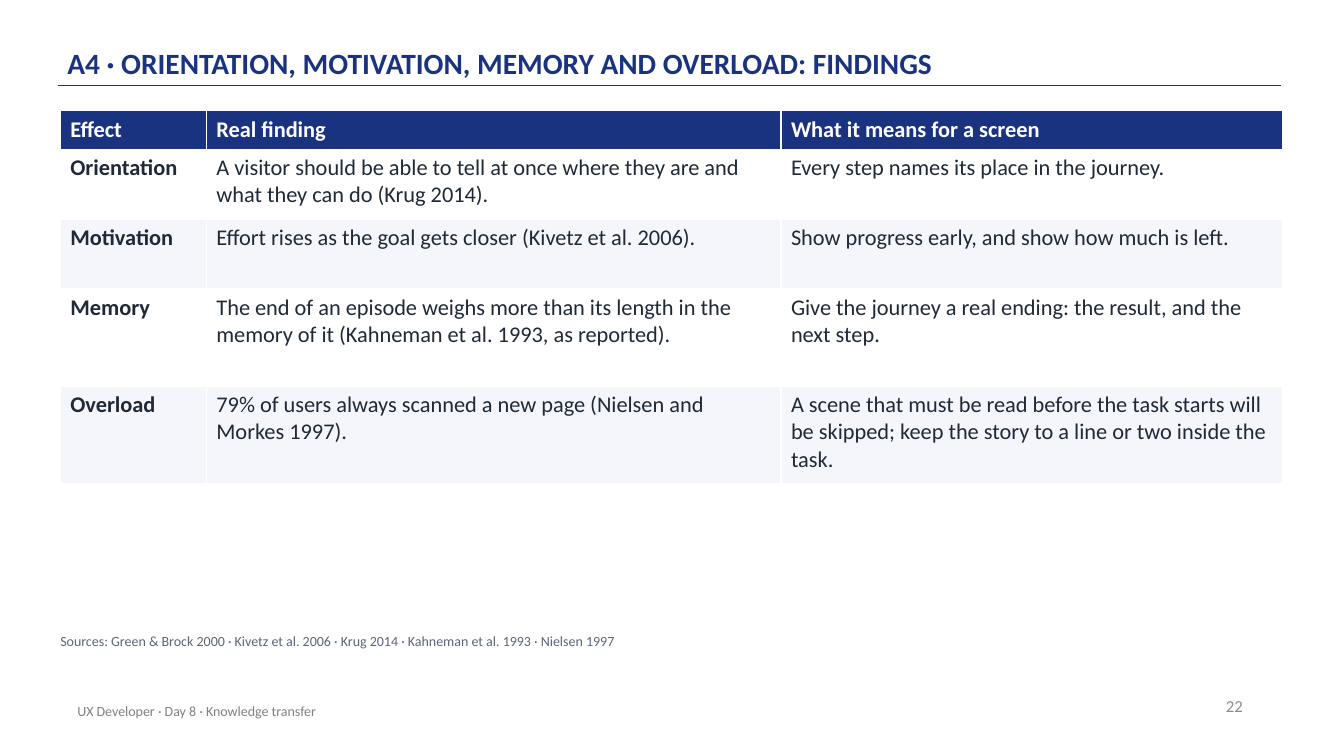
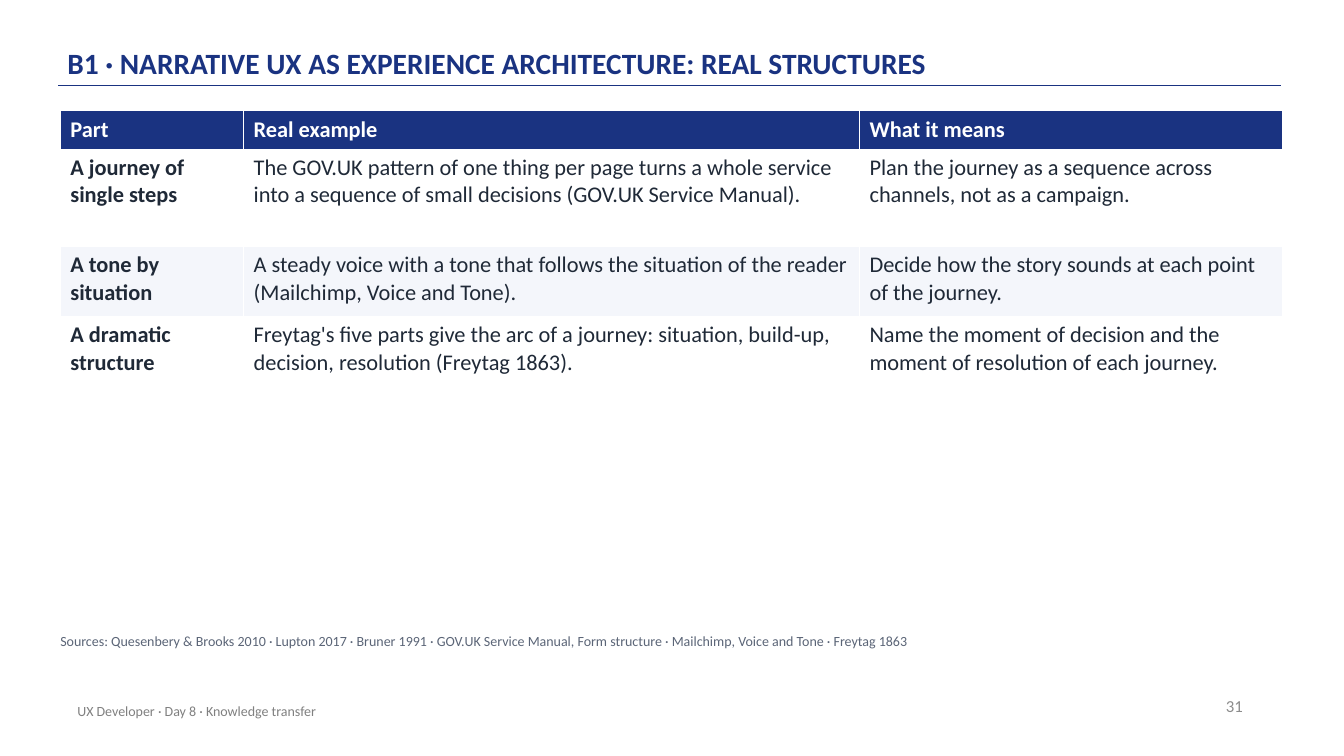
from lxml.etree import SubElement
from pptx import Presentation
from pptx.dml.color import RGBColor
from pptx.enum.shapes import MSO_CONNECTOR
from pptx.enum.text import MSO_ANCHOR, PP_ALIGN
from pptx.oxml.ns import qn
from pptx.util import Cm, Pt

COLORS = {
    "navy": "1A3381",
    "white": "FFFFFF",
    "band": "F4F6FB",
    "ink": "1F2937",
    "source": "5B6577",
    "footer": "808080",
    "number": "8C8C8C",
}
HEAD, TWO, THREE = 0.97, 1.76, 2.45


class Deck:
    """Holds the shared style and the current slide."""

    face = "Calibri"
    left = 1.52
    footer = "UX Developer · Day 8 · Knowledge transfer"

    def __init__(self):
        """Start an empty wide deck."""
        self.file = Presentation()
        self.file.slide_width = Cm(33.87)
        self.file.slide_height = Cm(19.05)

    def color(self, name):
        """Look up a colour by name."""
        return RGBColor.from_string(COLORS[name])

    def style(self, para, size, color, bold=False):
        """Set the font of a paragraph."""
        font = para.font
        font.name = self.face
        font.size = Pt(size)
        font.bold = bold
        font.color.rgb = self.color(color)

    def text(self, words, box, size, color, bold=False, anchor=MSO_ANCHOR.MIDDLE, inset=None):
        """Add a text box and return its paragraph."""
        frame = self.slide.shapes.add_textbox(*map(Cm, box)).text_frame
        frame.word_wrap = True
        frame.vertical_anchor = anchor
        if inset is not None:
            frame.margin_left = frame.margin_right = 0
            frame.margin_top = frame.margin_bottom = Cm(inset)
        para = frame.paragraphs[0]
        para.text = words
        self.style(para, size, color, bold)
        return para

    def rule(self):
        """Draw the line under the title."""
        ends = map(Cm, (32.28, 2.16, 1.47, 2.16))
        line = self.slide.shapes.add_connector(MSO_CONNECTOR.STRAIGHT, *ends)
        line.line.color.rgb = self.color("navy")
        line.line.width = Pt(1)
        SubElement(line._element.spPr, qn("a:effectLst"))

    def page(self, title, number):
        """Start a slide with its title, rule and footer."""
        self.slide = self.file.slides.add_slide(self.file.slide_layouts[6])
        self.rule()
        head = self.text(title, (1.7, 0.3, 27.94, 1.83), 21, "navy", True,
                         MSO_ANCHOR.BOTTOM, 0.08)
        head.line_spacing = 0.9
        page = self.text(str(number), (23.95, 17.27, 7.62, 1.02), 12, "number")
        page.alignment = PP_ALIGN.RIGHT
        self.text(self.footer, (1.7, 17.4, 17.02, 1.02), 10, "footer")

    def table(self, widths, heights, rows):
        """Add a table with a navy head and light bands."""
        size = map(Cm, (self.left, 2.79, sum(widths), sum(heights)))
        grid = self.slide.shapes.add_table(len(rows), len(widths), *size).table
        grid.horz_banding = False
        for col, width in zip(grid.columns, widths):
            col.width = Cm(width)
        for i, (row, height, words) in enumerate(zip(grid.rows, heights, rows)):
            row.height = Cm(height)
            fill = "navy" if i == 0 else "white" if i % 2 else "band"
            for j, (cell, word) in enumerate(zip(row.cells, words)):
                cell.fill.solid()
                cell.fill.fore_color.rgb = self.color(fill)
                cell.text = word
                self.style(cell.text_frame.paragraphs[0], 16,
                           "ink" if i else "white", i == 0 or j == 0)

    def sources(self, words):
        """Add the line of sources."""
        para = self.text(words, (self.left, 15.93, 30.73, 0.76), 10, "source",
                         anchor=MSO_ANCHOR.TOP, inset=0)
        para.space_after = Pt(6)


def main():
    """Build both slides and save them."""
    deck = Deck()

    deck.page("A4 · ORIENTATION, MOTIVATION, MEMORY AND OVERLOAD: FINDINGS", 22)
    deck.table((3.68, 14.48, 12.63), (HEAD, TWO, TWO, THREE, THREE), (
        ("Effect", "Real finding", "What it means for a screen"),
        ("Orientation",
         "A visitor should be able to tell at once where they are and what they can do (Krug 2014).",
         "Every step names its place in the journey."),
        ("Motivation",
         "Effort rises as the goal gets closer (Kivetz et al. 2006).",
         "Show progress early, and show how much is left."),
        ("Memory",
         "The end of an episode weighs more than its length in the memory of it "
         "(Kahneman et al. 1993, as reported).",
         "Give the journey a real ending: the result, and the next step."),
        ("Overload",
         "79% of users always scanned a new page (Nielsen and Morkes 1997).",
         "A scene that must be read before the task starts will be skipped; "
         "keep the story to a line or two inside the task."),
    ))
    deck.sources("Sources: Green & Brock 2000 · Kivetz et al. 2006 · Krug 2014 · "
                 "Kahneman et al. 1993 · Nielsen 1997")

    deck.page("B1 · NARRATIVE UX AS EXPERIENCE ARCHITECTURE: REAL STRUCTURES", 31)
    deck.table((4.62, 15.52, 10.67), (HEAD, THREE, TWO, THREE), (
        ("Part", "Real example", "What it means"),
        ("A journey of single steps",
         "The GOV.UK pattern of one thing per page turns a whole service into "
         "a sequence of small decisions (GOV.UK Service Manual).",
         "Plan the journey as a sequence across channels, not as a campaign."),
        ("A tone by situation",
         "A steady voice with a tone that follows the situation of the reader "
         "(Mailchimp, Voice and Tone).",
         "Decide how the story sounds at each point of the journey."),
        ("A dramatic structure",
         "Freytag's five parts give the arc of a journey: situation, build-up, "
         "decision, resolution (Freytag 1863).",
         "Name the moment of decision and the moment of resolution of each journey."),
    ))
    deck.sources("Sources: Quesenbery & Brooks 2010 · Lupton 2017 · Bruner 1991 · "
                 "GOV.UK Service Manual, Form structure · Mailchimp, Voice and Tone · Freytag 1863")

    deck.file.save("out.pptx")


if __name__ == "__main__":
    main()
